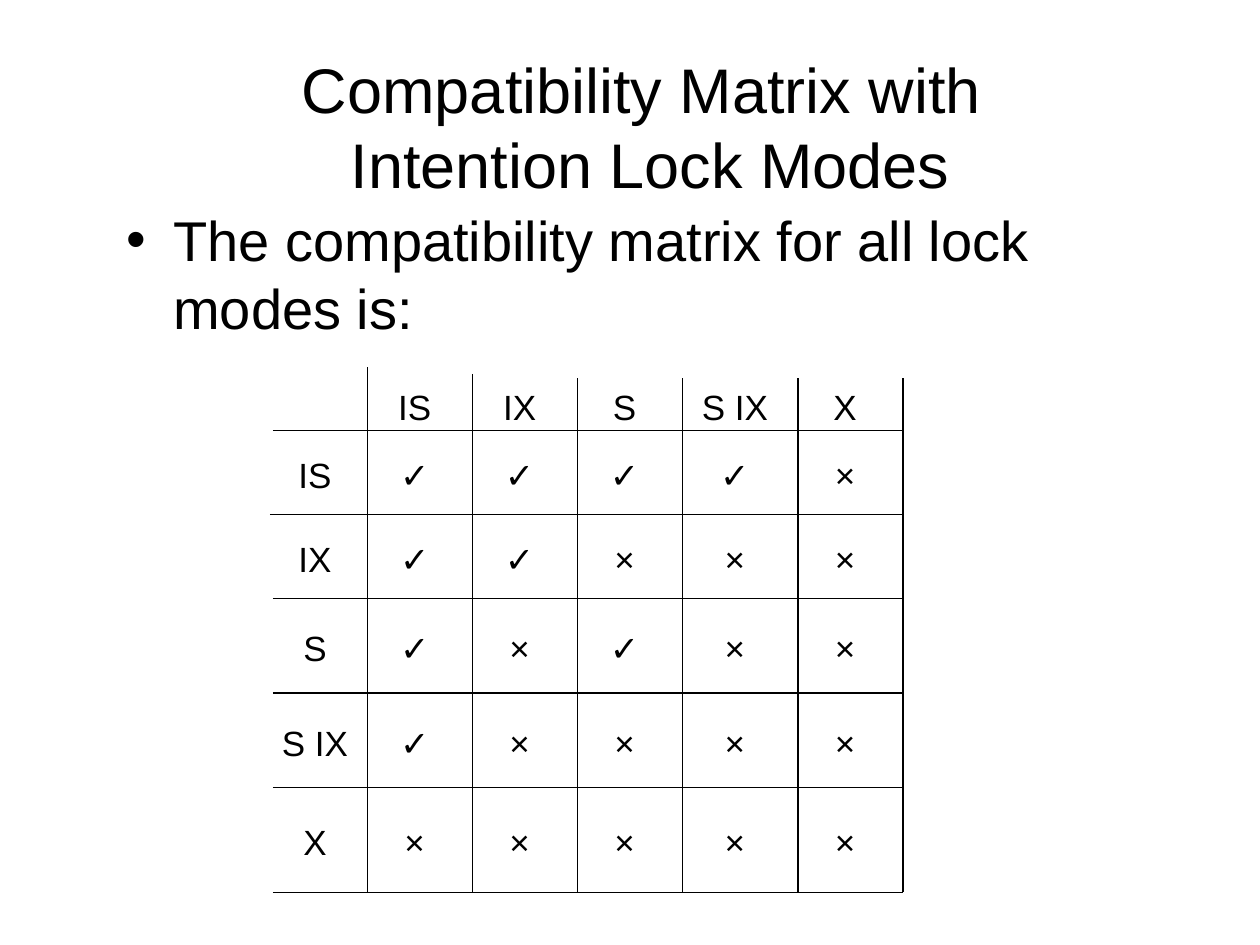
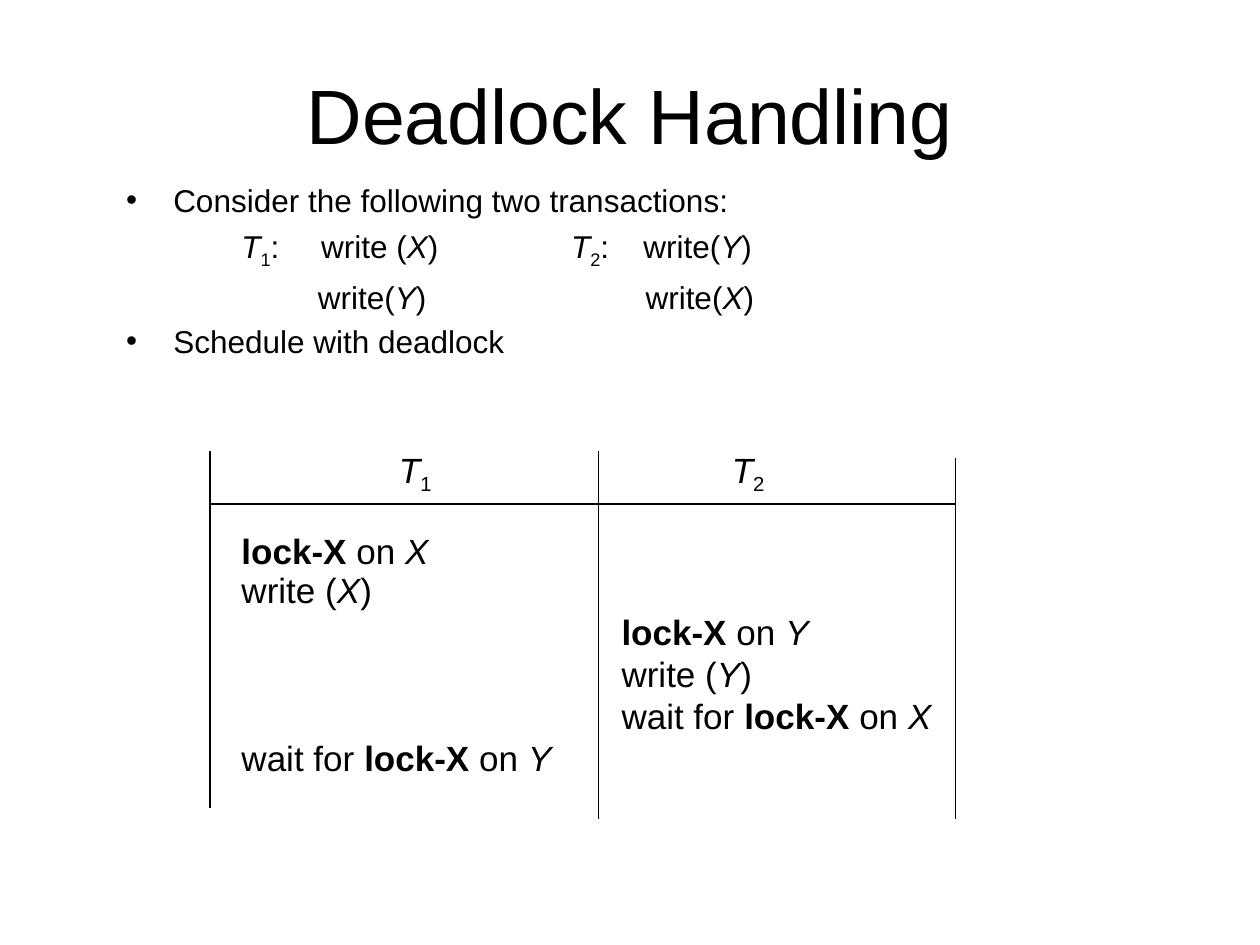
"""Builds two lecture slides on lock compatibility and deadlock handling."""
from dataclasses import dataclass
from typing import NamedTuple

import lxml.etree
import pptx
import pptx.dml.color
import pptx.enum.shapes
import pptx.enum.text
import pptx.oxml.ns
import pptx.util

COLORS = {"ink": "000000", "paper": "FFFFFF"}
FONT = "Arial"
UNITS_PER_INCH = 12
CELL_SIZE = 20
BULLET_INDENT = 4.5
LINE_WIDTH = 0.75
ALIGN = pptx.enum.text.PP_ALIGN
ANCHOR = pptx.enum.text.MSO_ANCHOR


class Frame(NamedTuple):
    """Left, top, width and height in grid units."""
    left: float
    top: float
    width: float
    height: float


class Rule(NamedTuple):
    """A straight line between two grid points."""
    x1: float
    y1: float
    x2: float
    y2: float


class Span(NamedTuple):
    """A stretch of text in one style."""
    text: str
    bold: bool = False
    italic: bool = False
    lowered: bool = False


Line = tuple[Span, ...]


@dataclass(frozen=True)
class Cell:
    """The content and placement of one table cell."""
    line: Line = ()
    align: ALIGN = ALIGN.LEFT
    anchor: ANCHOR = ANCHOR.TOP
    left: float = 0
    top: float = 0
    right: float = 0


def grid(units: float) -> pptx.util.Emu:
    """Convert grid units to a length."""
    return pptx.util.Inches(units / UNITS_PER_INCH)


def plain(text: str) -> Line:
    """Return a line with a single plain span."""
    return (Span(text),)


def item(name: str) -> Span:
    """Return the name of a data item."""
    return Span(name, italic=True)


def transaction(number: int) -> Line:
    """Return the symbol of a numbered transaction."""
    return item("T"), Span(str(number), lowered=True)


def write(name: str, gap: str = "") -> Line:
    """Return a write operation on a data item."""
    return Span(f"write{gap}("), item(name), Span(")")


def lock(name: str) -> Line:
    """Return an exclusive lock on a data item."""
    return Span("lock-X", bold=True), Span(" on "), item(name)


def add_child(parent, tag: str, **attributes: str):
    """Append a DrawingML element to a parent."""
    return lxml.etree.SubElement(parent, pptx.oxml.ns.qn(tag), attributes)


def ink() -> pptx.dml.color.RGBColor:
    """Return the colour of text and lines."""
    return pptx.dml.color.RGBColor.from_string(COLORS["ink"])


def style_run(run, size: float, span: Span = Span("")) -> None:
    """Format one run."""
    run.font.name = FONT
    run.font.size = pptx.util.Pt(size)
    run.font.bold = span.bold
    run.font.italic = span.italic
    run.font.color.rgb = ink()
    if span.lowered:
        run._r.get_or_add_rPr().set("baseline", "-25000")


def write_line(para, line: Line, size: float) -> None:
    """Fill a paragraph with styled spans."""
    for span in line:
        run = para.add_run()
        run.text = span.text
        style_run(run, size, span)


def place(shape, frame: Frame) -> None:
    """Move a shape to its frame."""
    shape.left, shape.top, shape.width, shape.height = map(grid, frame)


def set_title(page, text: str, frame: Frame, size: float) -> None:
    """Fill the title placeholder."""
    title = page.shapes.title
    place(title, frame)
    title.text_frame.text = text
    title.text_frame.auto_size = pptx.enum.text.MSO_AUTO_SIZE.NONE
    title.text_frame.vertical_anchor = ANCHOR.MIDDLE
    para = title.text_frame.paragraphs[0]
    para.alignment = ALIGN.CENTER
    for run in para.runs:
        style_run(run, size)


def add_lines(frame, lines: list[Line], size: float, gap: float) -> list:
    """Write one paragraph per line and return the paragraphs."""
    frame.auto_size = pptx.enum.text.MSO_AUTO_SIZE.NONE
    for index, line in enumerate(lines):
        para = frame.add_paragraph() if index else frame.paragraphs[0]
        para.space_before = pptx.util.Pt(gap if index else 0)
        write_line(para, line, size)
    return list(frame.paragraphs)


def set_body(page, lines: list[Line], frame: Frame, size: float, gap: float = 0) -> None:
    """Fill the body placeholder with bulleted lines."""
    body = page.placeholders[1]
    place(body, frame)
    for para in add_lines(body.text_frame, lines, size, gap):
        properties = para._p.get_or_add_pPr()
        properties.set("marL", str(grid(BULLET_INDENT)))
        properties.set("indent", str(-grid(BULLET_INDENT)))
        add_child(properties, "a:buFont", typeface=FONT)
        add_child(properties, "a:buChar", char="•")


def add_tabbed_box(page, lines: list[Line], frame: Frame, stops: list[tuple[float, ...]],
                   size: float, gap: float) -> None:
    """Add a text box with tab stops for each line."""
    box = page.shapes.add_textbox(*map(grid, frame))
    box.text_frame.word_wrap = True
    for para, positions in zip(add_lines(box.text_frame, lines, size, gap), stops):
        tabs = add_child(para._p.get_or_add_pPr(), "a:tabLst")
        for position in positions:
            add_child(tabs, "a:tab", pos=str(grid(position)), algn="l")


def fill_cell(cell, content: Cell) -> None:
    """Write and place the content of a cell without borders."""
    properties = cell._tc.get_or_add_tcPr()
    for side in "LRTB":
        add_child(add_child(properties, f"a:ln{side}"), "a:noFill")
    cell.fill.background()
    cell.vertical_anchor = content.anchor
    cell.margin_left, cell.margin_right = grid(content.left), grid(content.right)
    cell.margin_top, cell.margin_bottom = grid(content.top), 0
    para = cell.text_frame.paragraphs[0]
    para.alignment = content.align
    write_line(para, content.line, CELL_SIZE)


def draw_table(page, columns: tuple[float, ...], rows: tuple[float, ...],
               contents: list[list[Cell]]) -> None:
    """Draw a table between the given column and row edges."""
    frame = Frame(columns[0], rows[0], columns[-1] - columns[0], rows[-1] - rows[0])
    table = page.shapes.add_table(len(rows) - 1, len(columns) - 1, *map(grid, frame)).table
    table.first_row = table.horz_banding = False
    for column, start, end in zip(table.columns, columns, columns[1:]):
        column.width = grid(end - start)
    for row, start, end in zip(table.rows, rows, rows[1:]):
        row.height = grid(end - start)
    for r, line in enumerate(contents):
        for c, content in enumerate(line):
            fill_cell(table.cell(r, c), content)


def draw_rules(page, rules: list[Rule]) -> None:
    """Draw the thin lines that divide a table."""
    for rule in rules:
        connector = page.shapes.add_connector(
            pptx.enum.shapes.MSO_CONNECTOR.STRAIGHT, *map(grid, rule))
        connector.line.color.rgb = ink()
        connector.line.width = pptx.util.Pt(LINE_WIDTH)
        add_child(connector._element.spPr, "a:effectLst")


def add_page(deck):
    """Add a page with a title and a body on plain paper."""
    page = deck.slides.add_slide(deck.slide_layouts[1])
    page.background.fill.solid()
    page.background.fill.fore_color.rgb = pptx.dml.color.RGBColor.from_string(COLORS["paper"])
    return page


def build_matrix(deck) -> None:
    """Build the page with the compatibility matrix."""
    page = add_page(deck)
    set_title(page, "Compatibility Matrix with\v Intention Lock Modes",
              Frame(2.2, 8, 117.8, 8), 36)
    set_body(page, [plain("The compatibility matrix for all lock modes is:")],
             Frame(10.8, 19, 103, 58), 32)
    compatibility = {
        "IS": "✓✓✓✓×",
        "IX": "✓✓×××",
        "S": "✓×✓××",
        "S IX": "✓××××",
        "X": "×××××",
    }
    words = [["", *compatibility]] + [[mode, *marks] for mode, marks in compatibility.items()]
    contents = [[Cell(plain(word) if word else (), ALIGN.CENTER, ANCHOR.MIDDLE, top=0.7, right=1)
                 for word in line] for line in words]
    columns, rows = (26, 35, 45, 55, 65, 76, 86), (36, 41, 49, 57, 66, 75, 85)
    draw_table(page, columns, rows, contents)
    tops, lefts = {35: 35, 45: 35.6}, {49: 25.7}
    draw_rules(page, [Rule(x, tops.get(x, rows[0]), x, rows[-1]) for x in columns[1:]]
               + [Rule(lefts.get(y, columns[0]), y, columns[-1], y) for y in rows[1:]])


def build_deadlock(deck) -> None:
    """Build the page with the deadlocked schedule."""
    page = add_page(deck)
    set_title(page, "Deadlock Handling", Frame(6, 6.6, 108, 8.4), 44)
    set_body(page, [plain("Consider the following two transactions:"),
                    plain("Schedule with deadlock")],
             Frame(10.8, 16.6, 100.6, 64.3), 18, 59)
    tab, colon = Span("\t"), Span(":\t")
    operations = [
        (tab, *transaction(1), colon, *write("X", " "),
         tab, *transaction(2), colon, *write("Y")),
        (tab, *write("Y"), tab, *write("X")),
    ]
    add_tabbed_box(page, operations, Frame(10.8, 21, 70, 9),
                   [(11, 18.6, 42.4, 49.3), (18.3, 49.5)], 18, 4.5)

    wait = Span("wait for ")
    steps: list[tuple[Line, Line]] = [
        (lock("X"), ()),
        (write("X", " "), ()),
        ((), lock("Y")),
        ((), write("Y", " ")),
        ((), (wait, *lock("X"))),
        ((wait, *lock("Y")), ()),
    ]
    contents = [[Cell(transaction(1), left=18), Cell(transaction(2), left=12.7)]]
    for index, (first, second) in enumerate(steps):
        anchor = ANCHOR.TOP if index else ANCHOR.BOTTOM
        contents.append([Cell(first, anchor=anchor, left=3), Cell(second, anchor=anchor, left=2.2)])
    step_edges = tuple(54.5 + 4 * index for index in range(len(steps) - 1))
    draw_table(page, (20, 57, 91), (43, 48, *step_edges, 78), contents)
    draw_rules(page, [Rule(20, 48, 91, 48), Rule(20, 43, 20, 77),
                      Rule(57, 43, 57, 78), Rule(91, 43.6, 91, 78)])


def main() -> None:
    """Build and save the deck."""
    deck = pptx.Presentation()
    deck.slide_width, deck.slide_height = grid(120), grid(90)
    build_matrix(deck)
    build_deadlock(deck)
    deck.save("out.pptx")


if __name__ == "__main__":
    main()
